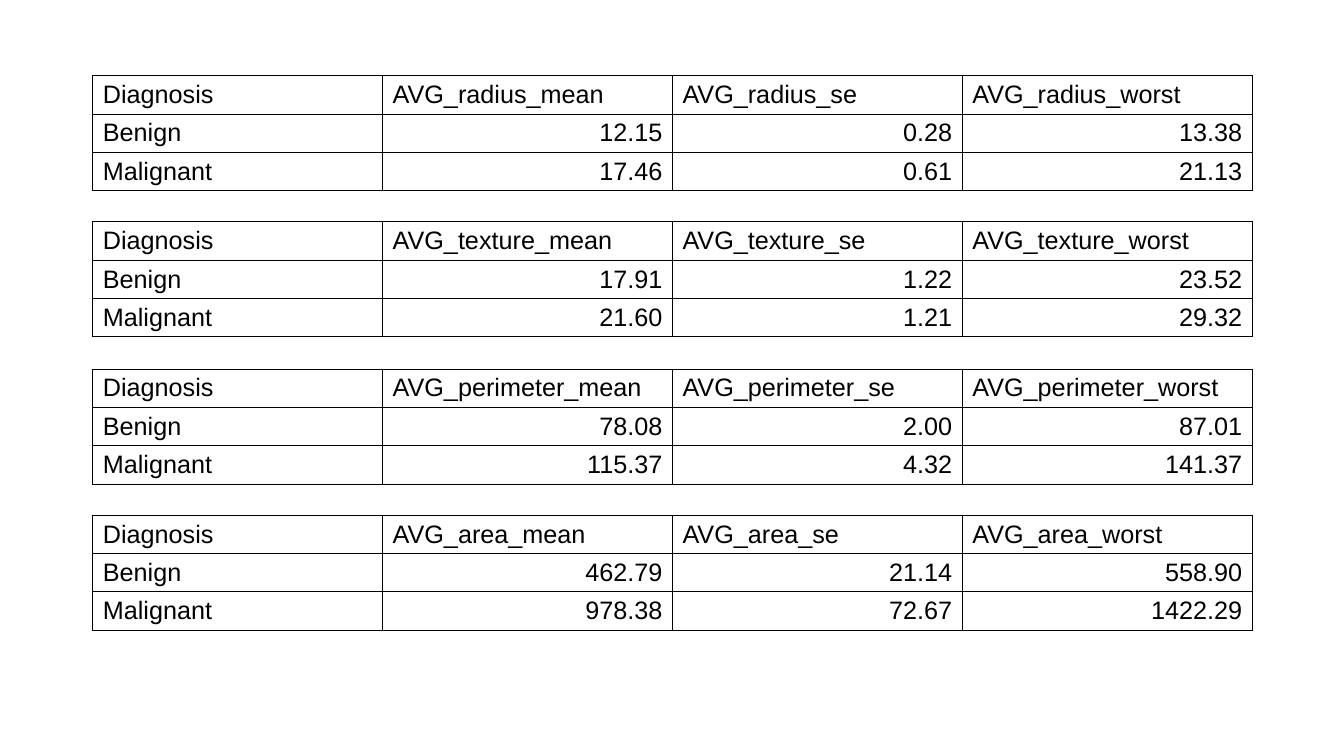
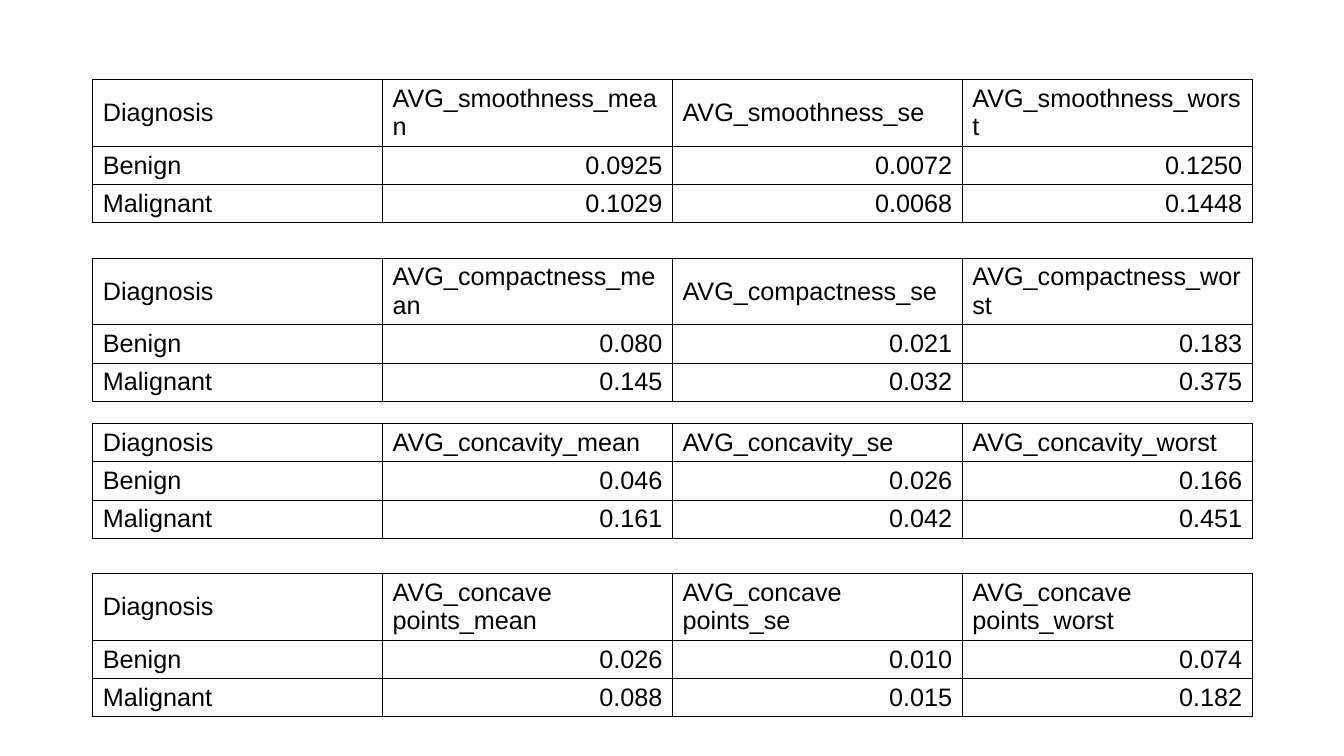
import pptx
import pptx.dml.color
import pptx.enum.text
import pptx.oxml
import pptx.oxml.ns
import pptx.util

Inches = pptx.util.Inches
Pt = pptx.util.Pt
ALIGN = pptx.enum.text.PP_ALIGN

INK = pptx.dml.color.RGBColor(0x00, 0x00, 0x00)
FONT = "Arial"
TABLE_LEFT = 0.92
TABLE_WIDTH = 11.5
ROW_HEIGHT = 0.38
WRAPPED_ROW_HEIGHT = 0.66
BORDER_WIDTH = 0.61
STATISTICS = ["mean", "se", "worst"]

# Each slide lists: top, feature, header wraps, benign averages, malignant averages
SLIDES = [
    [
        (0.75, "radius", False, ["12.15", "0.28", "13.38"], ["17.46", "0.61", "21.13"]),
        (2.2, "texture", False, ["17.91", "1.22", "23.52"], ["21.60", "1.21", "29.32"]),
        (3.66, "perimeter", False, ["78.08", "2.00", "87.01"], ["115.37", "4.32", "141.37"]),
        (5.11, "area", False, ["462.79", "21.14", "558.90"], ["978.38", "72.67", "1422.29"]),
    ],
    [
        (0.79, "smoothness", True, ["0.0925", "0.0072", "0.1250"], ["0.1029", "0.0068", "0.1448"]),
        (2.56, "compactness", True, ["0.080", "0.021", "0.183"], ["0.145", "0.032", "0.375"]),
        (4.2, "concavity", False, ["0.046", "0.026", "0.166"], ["0.161", "0.042", "0.451"]),
        (5.69, "concave points", True, ["0.026", "0.010", "0.074"], ["0.088", "0.015", "0.182"]),
    ],
]


def write_cell(cell, text, align=ALIGN.LEFT, size=18, color=INK):
    cell.vertical_anchor = pptx.enum.text.MSO_ANCHOR.MIDDLE
    paragraph = cell.text_frame.paragraphs[0]
    paragraph.alignment = align
    run = paragraph.add_run()
    run.text = text
    run.font.name = FONT
    run.font.size = Pt(size)
    run.font.color.rgb = color


def outline_cell(cell, width=BORDER_WIDTH, color=INK):
    """Draw all four borders and leave the cell unfilled."""
    properties = cell._tc.get_or_add_tcPr()
    for side in ("lnL", "lnR", "lnT", "lnB"):
        properties.append(pptx.oxml.parse_xml(
            f'<a:{side} {pptx.oxml.ns.nsdecls("a")} w="{Pt(width)}">'
            f'<a:solidFill><a:srgbClr val="{color}"/></a:solidFill></a:{side}>'
        ))
    cell.fill.background()


deck = pptx.Presentation()
deck.slide_width = Inches(13.33)
deck.slide_height = Inches(7.5)
blank_layout = deck.slide_layouts[6]

for features in SLIDES:
    slide = deck.slides.add_slide(blank_layout)
    for top, feature, header_wraps, benign, malignant in features:
        rows = [
            ["Diagnosis"] + [f"AVG_{feature}_{statistic}" for statistic in STATISTICS],
            ["Benign"] + benign,
            ["Malignant"] + malignant,
        ]
        header_height = WRAPPED_ROW_HEIGHT if header_wraps else ROW_HEIGHT
        heights = [header_height, ROW_HEIGHT, ROW_HEIGHT]
        averages = slide.shapes.add_table(
            len(rows), len(rows[0]), Inches(TABLE_LEFT), Inches(top),
            Inches(TABLE_WIDTH), Inches(sum(heights)),
        ).table
        averages.first_row = False
        averages.horz_banding = False
        for row_index, row in enumerate(rows):
            averages.rows[row_index].height = Inches(heights[row_index])
            for column_index, text in enumerate(row):
                is_average = row_index > 0 and column_index > 0
                cell = averages.cell(row_index, column_index)
                write_cell(cell, text, align=ALIGN.RIGHT if is_average else ALIGN.LEFT)
                outline_cell(cell)

deck.save("out.pptx")
